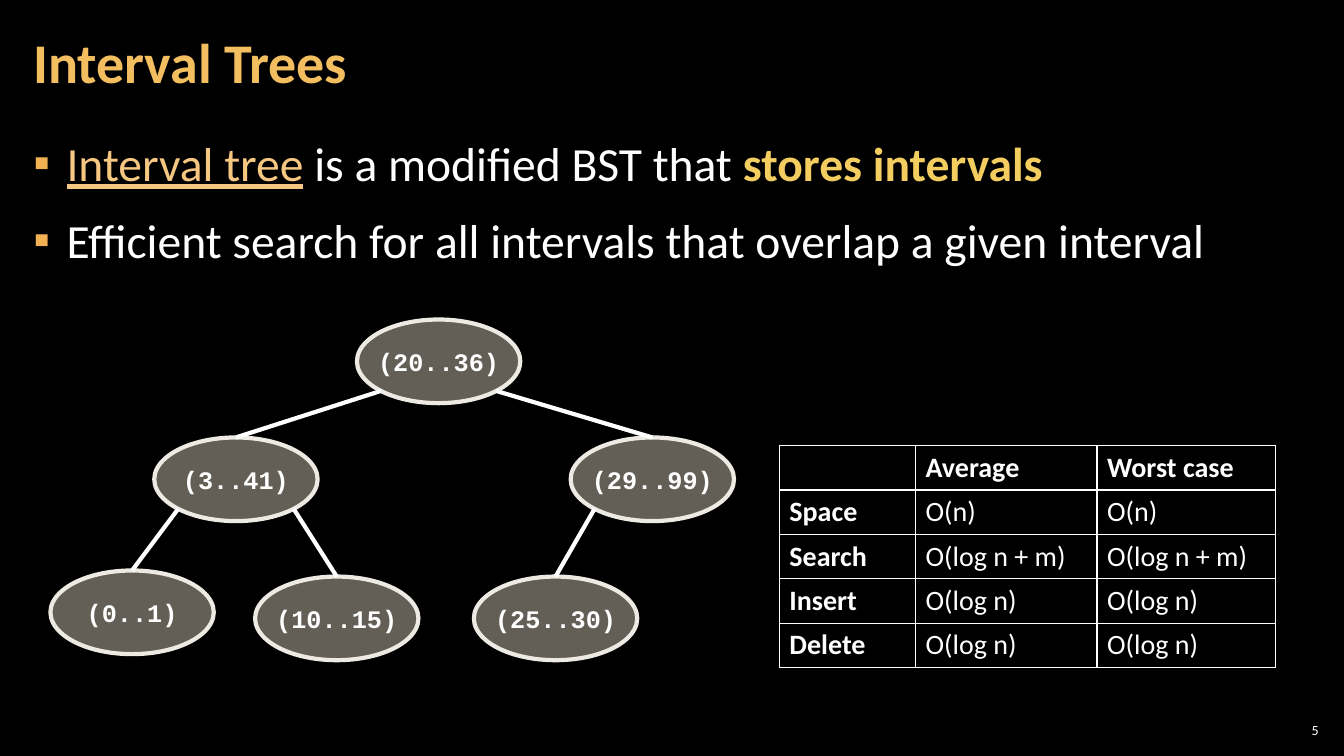
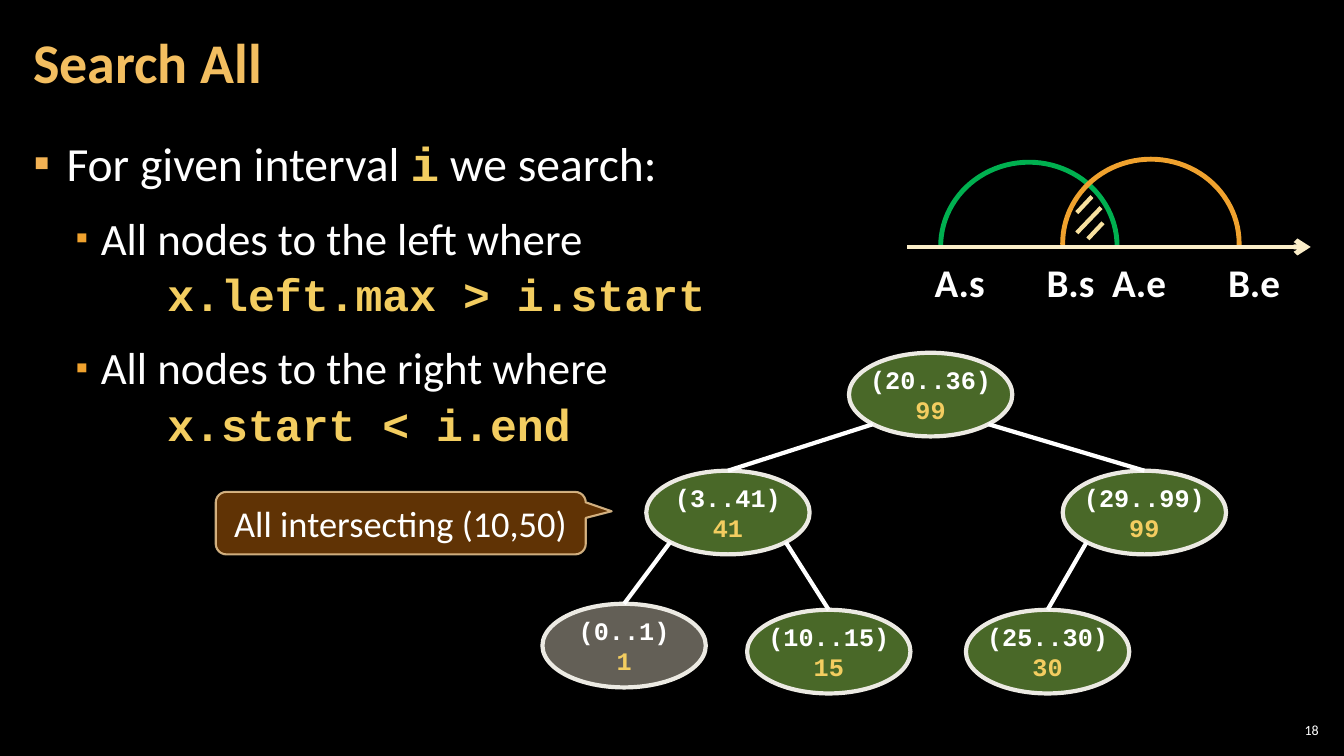
from dataclasses import dataclass
from math import sqrt
from typing import Any, NamedTuple

import lxml.etree
import pptx
import pptx.dml.color
import pptx.enum.shapes
import pptx.enum.text
import pptx.oxml.ns
import pptx.util

SCALE = 9144  # EMU in one px, 100 px to the inch
SHAPE = pptx.enum.shapes.MSO_SHAPE
ALIGN = pptx.enum.text.PP_ALIGN
MIDDLE = pptx.enum.text.MSO_ANCHOR.MIDDLE
FIXED = pptx.enum.text.MSO_AUTO_SIZE.NONE


@dataclass(frozen=True)
class Theme:
    sans: str = "Calibri"
    mono: str = "Courier New"
    back: str = "000000"
    text: str = "FFFFFF"
    title: str = "F3BE60"
    gold: str = "F3CD60"
    link: str = "F6C781"
    stone: str = "C7BFAC"
    green: str = "92D050"
    rim: str = "ECEAE3"
    arc_a: str = "00B050"
    arc_b: str = "F0A22E"
    axis: str = "FBEEC9"
    hatch: str = "F8E19F"
    note: str = "663606"
    edge: str = "F8D49E"
    title_pt: int = 40
    main_pt: int = 34
    sub_pt: int = 32
    label_pt: int = 28
    note_pt: int = 26
    cell_pt: int = 20
    node_pt: int = 18
    page_pt: int = 10


THEME = Theme()


class Bit(NamedTuple):
    text: str
    color: str = THEME.text
    font: str = THEME.sans
    bold: bool = False
    under: bool = False


class Level(NamedTuple):
    rank: int
    left: int
    hang: int
    size: int
    before: int
    after: int
    mark: str = ""
    ratio: int = 100


class Item(NamedTuple):
    level: Level
    bits: list[Bit]


class Node(NamedTuple):
    text: str
    x: int
    y: int
    top: int
    parent: int = -1
    side: int = 0


MAIN = Level(0, 33, -33, THEME.main_pt, 6, 6, "F2B254")
SUB = Level(1, 67, -25, THEME.sub_pt, 6, 0, "F0A22E", 80)
CODE = Level(1, 133, 0, THEME.sub_pt, 0, 6)

NODE_W, NODE_H = 162, 83
TREE = [
    Node("(20..36)", 354, 317, 99),
    Node("(29..99)", 566, 434, 99, 0, 1),
    Node("(3..41)", 153, 434, 41, 0, -1),
    Node("(0..1)", 50, 566, 1, 2, -1),
    Node("(10..15)", 253, 572, 15, 2, 1),
    Node("(25..30)", 470, 572, 30, 1, -1),
]
COSTS = [
    ["", "Average", "Worst case"],
    ["Space", "O(n)", "O(n)"],
    ["Search", "O(log n + m)", "O(log n + m)"],
    ["Insert", "O(log n)", "O(log n)"],
    ["Delete", "O(log n)", "O(log n)"],
]


def px(*vals: float) -> list[int]:
    return [round(val * SCALE) for val in vals]


def rgb(code: str) -> pptx.dml.color.RGBColor:
    return pptx.dml.color.RGBColor.from_string(code)


def put(obj: Any, vals: dict[str, Any]) -> None:
    for name, val in vals.items():
        setattr(obj, name, val)


def sub(root: Any, tag: str, **vals: str) -> Any:
    return lxml.etree.SubElement(root, pptx.oxml.ns.qn(tag), vals)


def fade(color: Any, part: int) -> None:
    """Set the opacity of a solid colour in percent."""
    for node in color.iter(pptx.oxml.ns.qn("a:srgbClr")):
        sub(node, "a:alpha", val=str(part * 1000))


def write(para: Any, bits: list[Bit], size: int) -> None:
    for bit in bits:
        run = para.add_run()
        run.text = bit.text
        put(run.font, {"name": bit.font, "size": pptx.util.Pt(size),
                       "bold": bit.bold, "underline": bit.under})
        run.font.color.rgb = rgb(bit.color)


def frame(shape: Any, side: int = 10, edge: int = 5, **vals: Any) -> Any:
    """Set the insets and other format of a shape's text frame."""
    left, top = px(side, edge)
    put(shape.text_frame, {"margin_left": left, "margin_right": left,
                           "margin_top": top, "margin_bottom": top,
                           "auto_size": FIXED, "word_wrap": True} | vals)
    return shape.text_frame


def place(shape: Any, *box: int) -> None:
    put(shape, dict(zip(("left", "top", "width", "height"), px(*box))))


def bullet(para: Any, level: Level) -> None:
    put(para, {"level": level.rank, "line_spacing": 1.05,
               "space_before": pptx.util.Pt(level.before),
               "space_after": pptx.util.Pt(level.after)})
    prop = para._p.get_or_add_pPr()
    left, hang = px(level.left, level.hang)
    prop.set("marL", str(left))
    prop.set("indent", str(hang))
    if not level.mark:
        sub(prop, "a:buNone")
        return
    sub(sub(prop, "a:buClr"), "a:srgbClr", val=level.mark)
    sub(prop, "a:buSzPct", val=str(level.ratio * 1000))
    sub(prop, "a:buChar", char="▪")


def label(slide: Any, box: tuple[int, ...], bit: Bit, size: int,
          align: Any = ALIGN.LEFT, **vals: Any) -> None:
    text = frame(slide.shapes.add_textbox(*px(*box)), **vals)
    text.paragraphs[0].alignment = align
    write(text.paragraphs[0], [bit], size)


def page(deck: Any, title: str, items: list[Item], num: int) -> Any:
    slide = deck.slides.add_slide(deck.slide_layouts[1])
    head, body = slide.placeholders
    place(head, 21, 4, 1047, 121)
    para = frame(head, 12, 4, vertical_anchor=MIDDLE).paragraphs[0]
    put(para, {"alignment": ALIGN.LEFT, "line_spacing": 0.9})
    write(para, [Bit(title, THEME.title, bold=True)], THEME.title_pt)
    place(body, 21, 126, 1291, 609)
    text = frame(body, 12, 4)
    for i, item in enumerate(items):
        para = text.add_paragraph() if i else text.paragraphs[0]
        bullet(para, item.level)
        write(para, item.bits, item.level.size)
    label(slide, (1265, 714, 47, 21), Bit(str(num)), THEME.page_pt,
          ALIGN.RIGHT, side=4, edge=4, vertical_anchor=MIDDLE)
    return slide


def line(slide: Any, ends: tuple[float, ...], color: str, width: float = 3,
         arrow: bool = False) -> None:
    link = slide.shapes.add_connector(
        pptx.enum.shapes.MSO_CONNECTOR.STRAIGHT, *px(*ends))
    link.line.color.rgb = rgb(color)
    link.line.width = pptx.util.Pt(width)
    if arrow:
        sub(link.line._get_or_add_ln(), "a:tailEnd", type="arrow")
    sub(link._element.spPr, "a:effectLst")


def form(slide: Any, kind: Any, box: tuple[int, ...], edge: str, width: float,
         fill: str = "", part: int = 100) -> Any:
    shape = slide.shapes.add_shape(kind, *px(*box))
    shape.shadow.inherit = False
    if fill:
        shape.fill.solid()
        shape.fill.fore_color.rgb = rgb(fill)
        fade(shape._element.spPr, part)
    else:
        shape.fill.background()
    shape.line.color.rgb = rgb(edge)
    shape.line.width = pptx.util.Pt(width)
    return shape


def tree(slide: Any, dx: int = 0, dy: int = 0, found: bool = False) -> None:
    """Draw the tree; found adds each maximum and marks the hits."""
    for node in TREE:
        hit = found and node.text != "(0..1)"
        oval = form(slide, SHAPE.OVAL, (node.x + dx, node.y + dy, NODE_W, NODE_H),
                    THEME.rim, 3, THEME.green if hit else THEME.stone, 50)
        text = frame(oval, word_wrap=False, vertical_anchor=MIDDLE)
        bits = [Bit(node.text, THEME.text, THEME.mono, True)]
        if found:
            bits.append(Bit(str(node.top), THEME.gold, THEME.mono, True))
        for i, bit in enumerate(bits):
            para = text.add_paragraph() if i else text.paragraphs[0]
            para.alignment = ALIGN.CENTER
            write(para, [bit], THEME.node_pt)
    for node in TREE:
        if node.side:
            root = TREE[node.parent]
            mid = NODE_W / 2 + dx
            line(slide, (node.x + mid, node.y + dy,
                         root.x + mid + node.side * NODE_W / sqrt(8),
                         root.y + dy + NODE_H / 2 + NODE_H / sqrt(8)), THEME.text)


def border(cell: Any) -> None:
    prop = cell._tc.get_or_add_tcPr()
    for side in "LRTB":
        edge = sub(prop, f"a:ln{side}", w=str(pptx.util.Pt(1)))
        sub(sub(edge, "a:solidFill"), "a:srgbClr", val=THEME.text)


def table(slide: Any) -> None:
    cols, high = [135, 180, 177], 44
    grid = slide.shapes.add_table(
        len(COSTS), len(cols), *px(773, 442, sum(cols), high * len(COSTS))).table
    put(grid, {"first_row": False, "horz_banding": False})
    for col, width in zip(grid.columns, px(*cols)):
        col.width = width
    for r, row in enumerate(COSTS):
        for c, word in enumerate(row):
            cell = grid.cell(r, c)
            border(cell)
            cell.fill.background()
            if word:
                write(cell.text_frame.paragraphs[0],
                      [Bit(word, bold=r == 0 or c == 0)], THEME.cell_pt)


def overlap(slide: Any) -> None:
    """Draw two intervals that overlap on an axis."""
    for x, y, color, end in ((933, 161, THEME.arc_a, 0),
                             (1054, 158, THEME.arc_b, 1.59)):
        arc = form(slide, SHAPE.ARC, (x, y, 175, 167), color, 3.5)
        arc.adjustments[0], arc.adjustments[1] = 107.15, end
    line(slide, (900, 245, 1300, 245), THEME.axis, 3.5, True)
    for x, word in ((927, "A.s"), (1038, "B.s"), (1103, "A.e"), (1218, "B.e")):
        label(slide, (x, 251, 60, 57), Bit(word, bold=True), THEME.label_pt,
              side=0, word_wrap=False)
    for ends in ((1083, 195, 1068, 211), (1092, 206, 1068, 231),
                 (1094, 221, 1079, 237)):
        line(slide, ends, THEME.hatch)


def callout(slide: Any) -> None:
    shape = form(slide, SHAPE.ROUNDED_RECTANGULAR_CALLOUT, (214, 488, 367, 62),
                 THEME.edge, 1.5, THEME.note, 95)
    fade(shape.line._get_or_add_ln(), 80)
    for i, val in enumerate((0.57, -0.19, 0.17)):
        shape.adjustments[i] = val
    para = frame(shape, vertical_anchor=MIDDLE).paragraphs[0]
    para.alignment = ALIGN.CENTER
    write(para, [Bit("All intersecting (10,50)")], THEME.note_pt)


def code(text: str) -> Bit:
    return Bit(text, THEME.gold, THEME.mono, True)


def main() -> None:
    deck = pptx.Presentation()
    put(deck, dict(zip(("slide_width", "slide_height"), px(1333, 750))))
    fill = deck.slide_master.background.fill
    fill.solid()
    fill.fore_color.rgb = rgb(THEME.back)

    slide = page(deck, "Interval Trees", [
        Item(MAIN, [Bit("Interval tree", THEME.link, under=True),
                    Bit(" is a modified BST that "),
                    Bit("stores intervals", THEME.gold, bold=True)]),
        Item(MAIN, [Bit("Efficient search for all intervals that overlap "
                        "a given interval")]),
    ], 5)
    table(slide)
    tree(slide)

    slide = page(deck, "Search All", [
        Item(MAIN, [Bit("For given interval "), code("i"), Bit(" we search:")]),
        Item(SUB, [Bit("All nodes to the left where")]),
        Item(CODE, [code("x.left.max > i.start")]),
        Item(SUB, [Bit("All nodes to the right where")]),
        Item(CODE, [code("x.start < i.end")]),
    ], 18)
    overlap(slide)
    tree(slide, 488, 33, True)
    callout(slide)
    deck.save("out.pptx")


if __name__ == "__main__":
    main()
